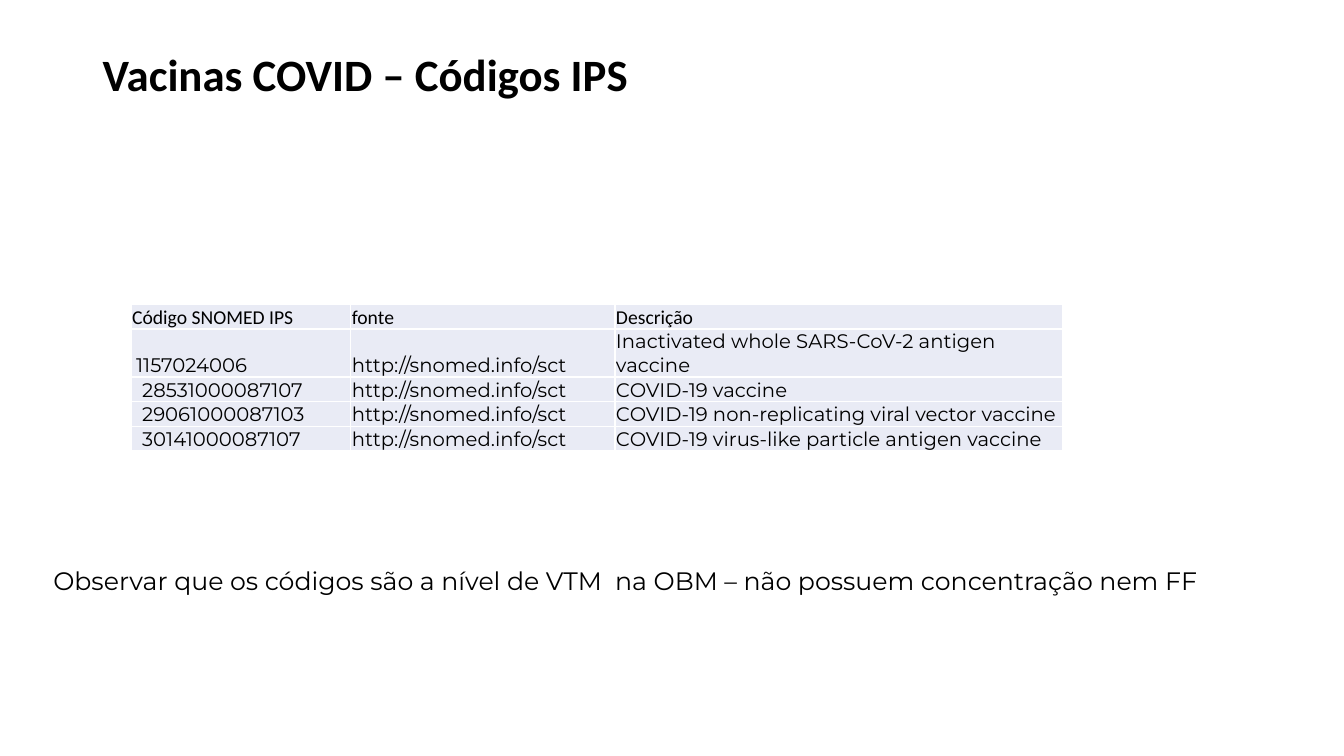
from dataclasses import dataclass

from lxml import etree
from pptx import Presentation
from pptx.dml.color import RGBColor
from pptx.enum.text import MSO_ANCHOR
from pptx.oxml.ns import qn
from pptx.util import Inches, Pt

MIDDLE = MSO_ANCHOR.MIDDLE
BOTTOM = MSO_ANCHOR.BOTTOM


@dataclass(frozen=True)
class Theme:
    """Colours, fonts and type sizes of the slide."""
    ink: str = "000000"
    band: str = "E9EBF5"
    rule: str = "FFFFFF"
    head: str = "Calibri"
    body: str = "Montserrat"
    title: int = 32
    note: int = 18
    cell: int = 14
    line: int = 1


THEME = Theme()
SOURCE = "http://snomed.info/sct"
HEADS = ("Código SNOMED IPS", "fonte", "Descrição")
CODES = (
    ("1157024006", 0.05, "Inactivated whole SARS-CoV-2 antigen vaccine"),
    ("28531000087107", 0.11, "COVID-19 vaccine"),
    ("29061000087103", 0.11, "COVID-19 non-replicating viral vector vaccine"),
    ("30141000087107", 0.11, "COVID-19 virus-like particle antigen vaccine"),
)
WIDTHS = (2.18, 2.62, 4.44)


def write(frame, text, font=THEME.body, size=THEME.cell, bold=False, space=1.0):
    """Put one formatted paragraph in a text frame."""
    para = frame.paragraphs[0]
    para.line_spacing = space
    run = para.add_run()
    run.text = text
    run.font.name = font
    run.font.size = Pt(size)
    run.font.bold = bold
    run.font.color.rgb = RGBColor.from_string(THEME.ink)


def add_text(slide, box, text, **style):
    """Add a wrapped text box, centred vertically in its box."""
    frame = slide.shapes.add_textbox(*map(Inches, box)).text_frame
    frame.word_wrap = True
    frame.vertical_anchor = MIDDLE
    write(frame, text, **style)


def edge(cell):
    """Draw the four borders of a cell."""
    props = cell._tc.get_or_add_tcPr()
    for side in ("lnL", "lnR", "lnT", "lnB"):
        line = etree.SubElement(props, qn(f"a:{side}"), w=str(Pt(THEME.line)))
        fill = etree.SubElement(line, qn("a:solidFill"))
        etree.SubElement(fill, qn("a:srgbClr"), val=THEME.rule)


def add_cell(cell, text, font, indent=0.01):
    """Fill, border and write one table cell."""
    edge(cell)
    cell.fill.solid()
    cell.fill.fore_color.rgb = RGBColor.from_string(THEME.band)
    cell.margin_left = Inches(indent)
    cell.margin_right = cell.margin_top = Inches(0.01)
    cell.margin_bottom = 0
    cell.vertical_anchor = BOTTOM
    write(cell.text_frame, text, font=font)


def add_codes(slide, box):
    """Add the table of vaccine codes."""
    count = len(CODES) + 1
    table = slide.shapes.add_table(count, len(HEADS), *map(Inches, box)).table
    table.first_row = table.horz_banding = False
    for col, width in zip(table.columns, WIDTHS):
        col.width = Inches(width)
    for col, text in enumerate(HEADS):
        add_cell(table.cell(0, col), text, THEME.head)
    for row, (code, indent, label) in enumerate(CODES, 1):
        add_cell(table.cell(row, 0), code, THEME.body, indent)
        add_cell(table.cell(row, 1), SOURCE, THEME.body)
        add_cell(table.cell(row, 2), label, THEME.body)


def main():
    """Build and save the slide."""
    deck = Presentation()
    deck.slide_width, deck.slide_height = Inches(13.33), Inches(7.5)
    slide = deck.slides.add_slide(deck.slide_layouts[6])
    add_text(slide, (0.92, 0.4, 11.5, 0.73), "Vacinas COVID – Códigos IPS",
             font=THEME.head, size=THEME.title, bold=True, space=0.9)
    add_codes(slide, (1.3, 3.02, sum(WIDTHS), 1.1))
    add_text(slide, (0.43, 5.56, 11.69, 0.4),
             "Observar que os códigos são a nível de VTM  na OBM"
             " – não possuem concentração nem FF", size=THEME.note)
    deck.save("out.pptx")


if __name__ == "__main__":
    main()
